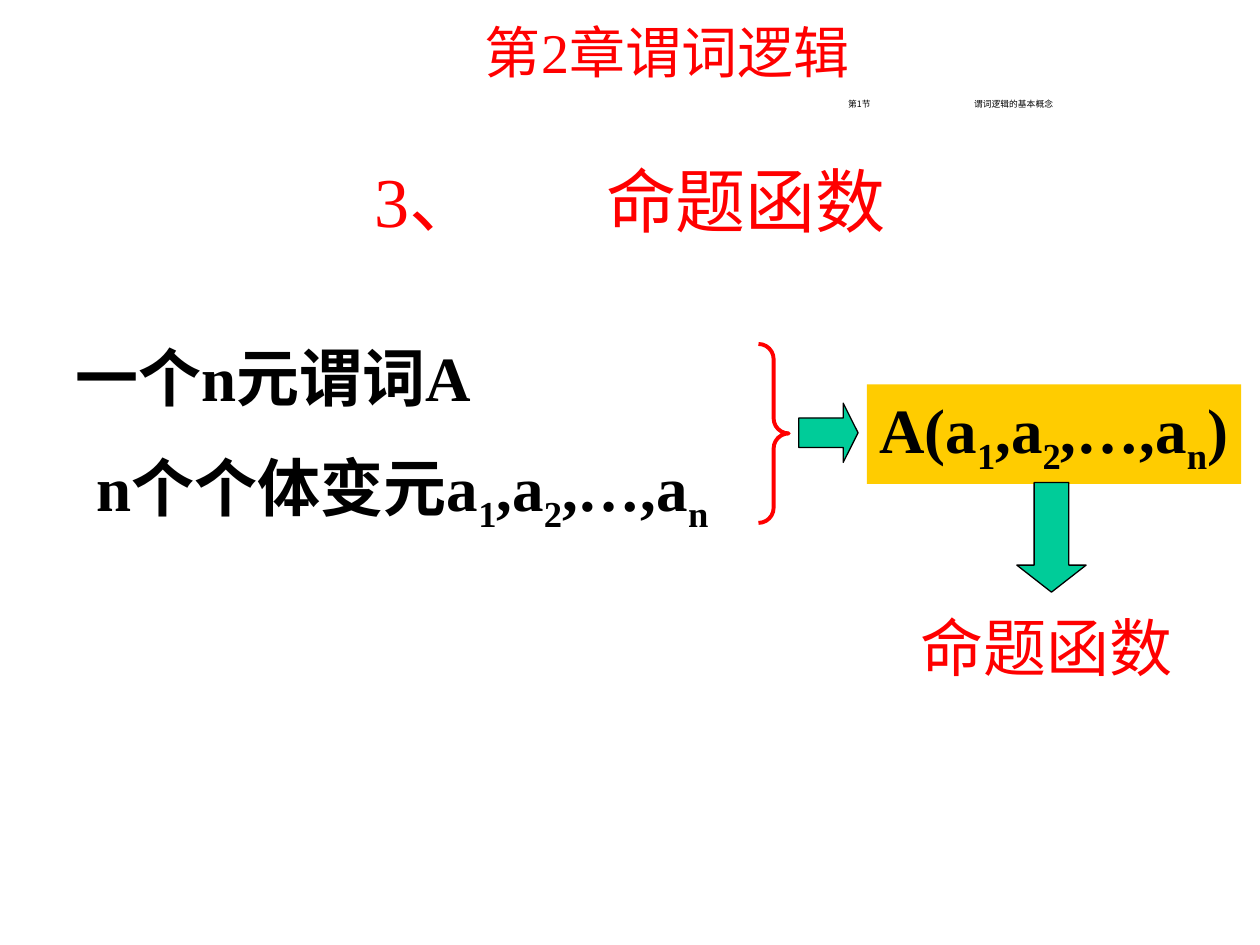
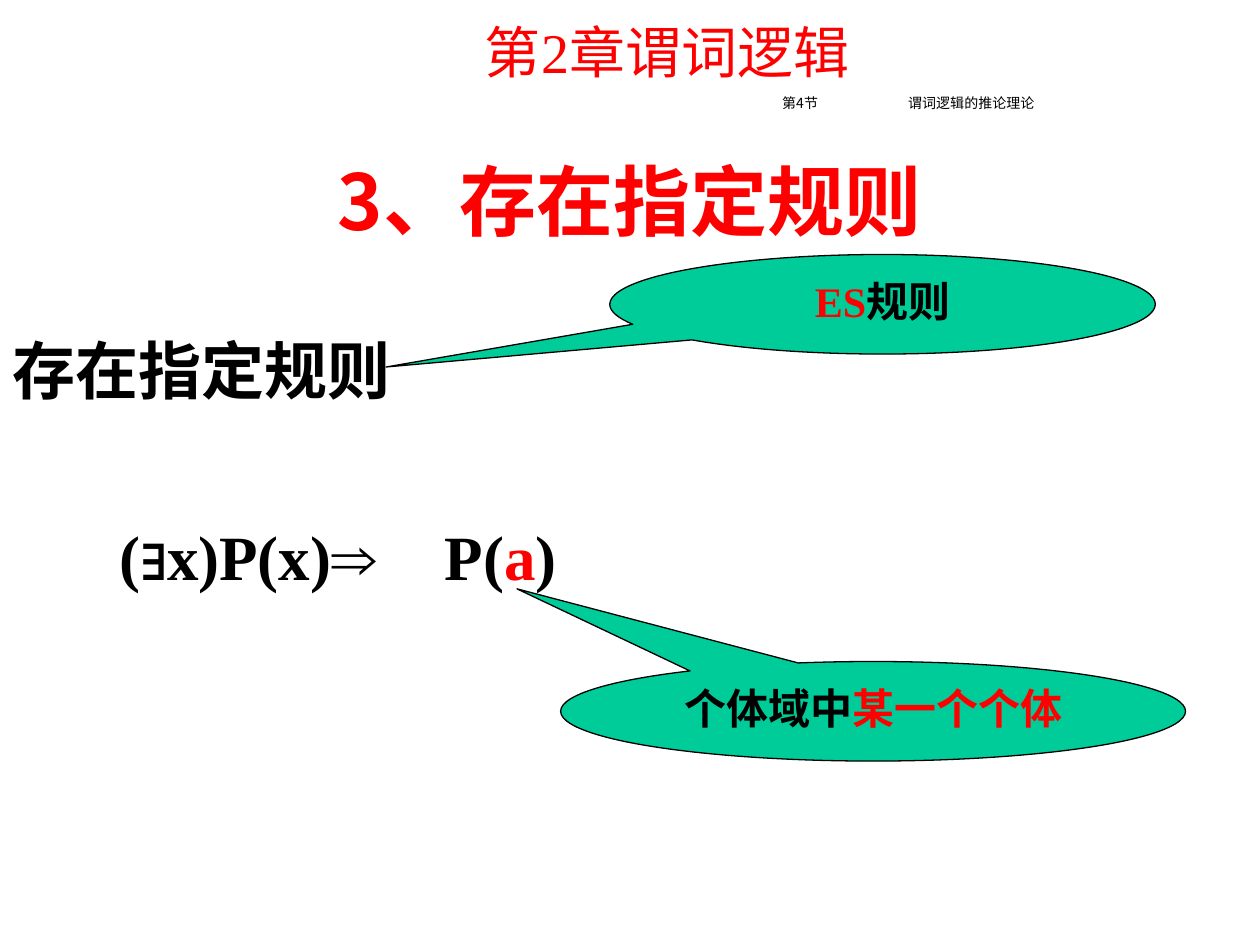
"""Builds two slides on predicate logic, placed on a grid of 100 columns by 75 rows."""
import pptx
import pptx.util
import pptx.dml.color
import pptx.enum.shapes
import pptx.enum.text
import pptx.oxml.ns
from lxml import etree

SHAPE = pptx.enum.shapes.MSO_SHAPE
ALIGN = pptx.enum.text.PP_ALIGN
MID = pptx.enum.text.MSO_ANCHOR.MIDDLE
FIT = pptx.enum.text.MSO_AUTO_SIZE
RED, BLACK, GREEN, GOLD = "FF0000", "000000", "00CC99", "FFCC00"
ROMAN, SANS, SIGN = "Times New Roman", "Noto Sans CJK SC", "Arial"

BODY = {"name": ROMAN, "size": 36, "bold": True, "color": BLACK}
NOTE = BODY | {"size": 24}
PLAIN = BODY | {"bold": False, "color": RED}
HEAD = PLAIN | {"size": 32}
SUB = {"low": True}
HOT = {"color": RED}
MATH = {"name": SIGN}
ITEMS = [("a",), ("1", SUB), (",a",), ("2", SUB), (",…,a",), ("n", SUB)]

CHAPTER = {"at": (31.7, 0.9, 42.5, 6.4), "runs": [("第2章谓词逻辑",)],
           "font": HEAD, "align": ALIGN.CENTER}
TITLE = (7.5, 11.7, 85, 8.3)
LINK = {"fill": GREEN, "line": (BLACK, 0.75)}

SLIDES = [
    {"title": ("3、\t命题函数", PLAIN | {"size": 40}, 18.4),
     "section": ("第1节\t谓词逻辑的基本概念", 5, (51.7, 7.6, 47.5, 1.4)),
     "parts": [
         {"at": (5, 26.4, 37, 7), "runs": [("一个n元谓词A",)], "wrap": False},
         {"at": (6.7, 35.1, 52.9, 7.9), "runs": [("n个个体变元",)] + ITEMS, "wrap": False},
         {"at": (60.2, 27.3, 2.4, 14.2), "kind": SHAPE.RIGHT_BRACE, "adj": (0.5, 0.5),
          "line": (RED, 2.25)},
         {"at": (63.4, 32, 4.7, 4.7), "kind": SHAPE.RIGHT_ARROW, "adj": (0.5, 0.25)} | LINK,
         {"at": (68.8, 30.5, 29.7, 7.9), "kind": SHAPE.RECTANGLE, "fill": GOLD,
          "runs": [("A(",)] + ITEMS + [(")",)], "wrap": False},
         {"at": (80.7, 38.3, 5.5, 8.7), "kind": SHAPE.DOWN_ARROW, "adj": (0.5, 0.39)} | LINK,
         {"at": (72.1, 47.8, 22, 7), "runs": [("命题函数",)], "font": PLAIN, "wrap": False},
     ]},
    {"title": ("3、存在指定规则", BODY | {"name": SANS, "size": 44, "color": RED}, 10),
     "section": ("第4节\t谓词逻辑的推论理论", 8, (45, 7.1, 54.2, 2.4)),
     "parts": [
         {"at": (0, 25.8, 38.2, 12.4), "runs": [("存在指定规则",)], "font": BODY | {"name": SANS}},
         {"at": (48.4, 20.2, 43.3, 7.9), "kind": SHAPE.OVAL_CALLOUT, "adj": (-0.91, 0.63),
          "runs": [("ES", HOT), ("规则",)], "font": NOTE, "align": ALIGN.CENTER} | LINK,
         {"at": (8.5, 40.6, 24, 7), "wrap": False,
          "runs": [("(",), ("∃", MATH), ("x)P(x)",), ("⇒", MATH)]},
         {"at": (34.3, 40.6, 10.9, 7), "runs": [("P(",), ("a", HOT), (")",)], "wrap": False},
         {"at": (44.5, 52.5, 49.6, 7.9), "kind": SHAPE.OVAL_CALLOUT, "adj": (-0.57, -1.23),
          "runs": [("个体域中",), ("某一个个体", HOT)], "font": NOTE,
          "align": ALIGN.CENTER} | LINK,
     ]},
]


def cell(num):
    return pptx.util.Inches(num / 10)


def rgb(hue):
    return pptx.dml.color.RGBColor.from_string(hue)


def node(home, tag, **attrs):
    return etree.SubElement(home, pptx.oxml.ns.qn(tag), **attrs)


def place(shape, at):
    for name, num in zip(("left", "top", "width", "height"), at):
        setattr(shape, name, cell(num))


def style(run, form):
    font = run.font
    for name, val in {"size": pptx.util.Pt(form["size"]), "bold": form["bold"],
                      "name": form["name"]}.items():
        setattr(font, name, val)
    font.color.rgb = rgb(form["color"])
    props = run._r.get_or_add_rPr()
    node(props, "a:ea", typeface=SIGN if form["name"] == SIGN else SANS)
    if form.get("low"):
        props.set("baseline", "-25000")


def write(shape, runs, font=BODY, align=ALIGN.LEFT, wrap=True, anchor=None, tab=None, space=None):
    frame = shape.text_frame
    look = {"word_wrap": wrap, "auto_size": FIT.NONE if wrap else FIT.SHAPE_TO_FIT_TEXT,
            "vertical_anchor": anchor or pptx.enum.text.MSO_ANCHOR.TOP}
    for name, val in look.items():
        setattr(frame, name, val)
    para = frame.paragraphs[0]
    if tab:
        stops = node(para._p.get_or_add_pPr(), "a:tabLst")
        node(stops, "a:tab", pos=str(cell(tab)), algn="l")
    for name, val in {"alignment": align, "line_spacing": space}.items():
        setattr(para, name, val)
    for text, *more in runs:
        run = para.add_run()
        run.text = text
        style(run, font | (more[0] if more else {}))


def draw(slide, at, kind=None, adj=(), fill=None, line=None, runs=(), **form):
    box = [cell(num) for num in at]
    if kind is None:
        shape = slide.shapes.add_textbox(*box)
    else:
        shape = slide.shapes.add_shape(kind, *box)
        shape.shadow.inherit = False
        for num, val in enumerate(adj):
            shape.adjustments[num] = val
        if fill:
            shape.fill.solid()
            shape.fill.fore_color.rgb = rgb(fill)
        else:
            shape.fill.background()
        if line:
            shape.line.color.rgb = rgb(line[0])
            shape.line.width = pptx.util.Pt(line[1])
        else:
            shape.line.fill.background()
    if runs:
        write(shape, runs, **form)


def build(deck, page):
    slide = deck.slides.add_slide(deck.slide_layouts[5])
    text, font, tab = page["title"]
    place(slide.shapes.title, TITLE)
    write(slide.shapes.title, [(text,)], font, ALIGN.CENTER, anchor=MID, tab=tab)
    draw(slide, **CHAPTER)
    text, size, at = page["section"]
    draw(slide, at, runs=[(text,)], font=BODY | {"name": SANS, "size": size, "bold": False},
         align=ALIGN.CENTER, anchor=MID, tab=10, space=0.8)
    for part in page["parts"]:
        draw(slide, **part)


def main():
    deck = pptx.Presentation()
    deck.slide_width, deck.slide_height = cell(100), cell(75)
    for page in SLIDES:
        build(deck, page)
    deck.save("out.pptx")


if __name__ == "__main__":
    main()
